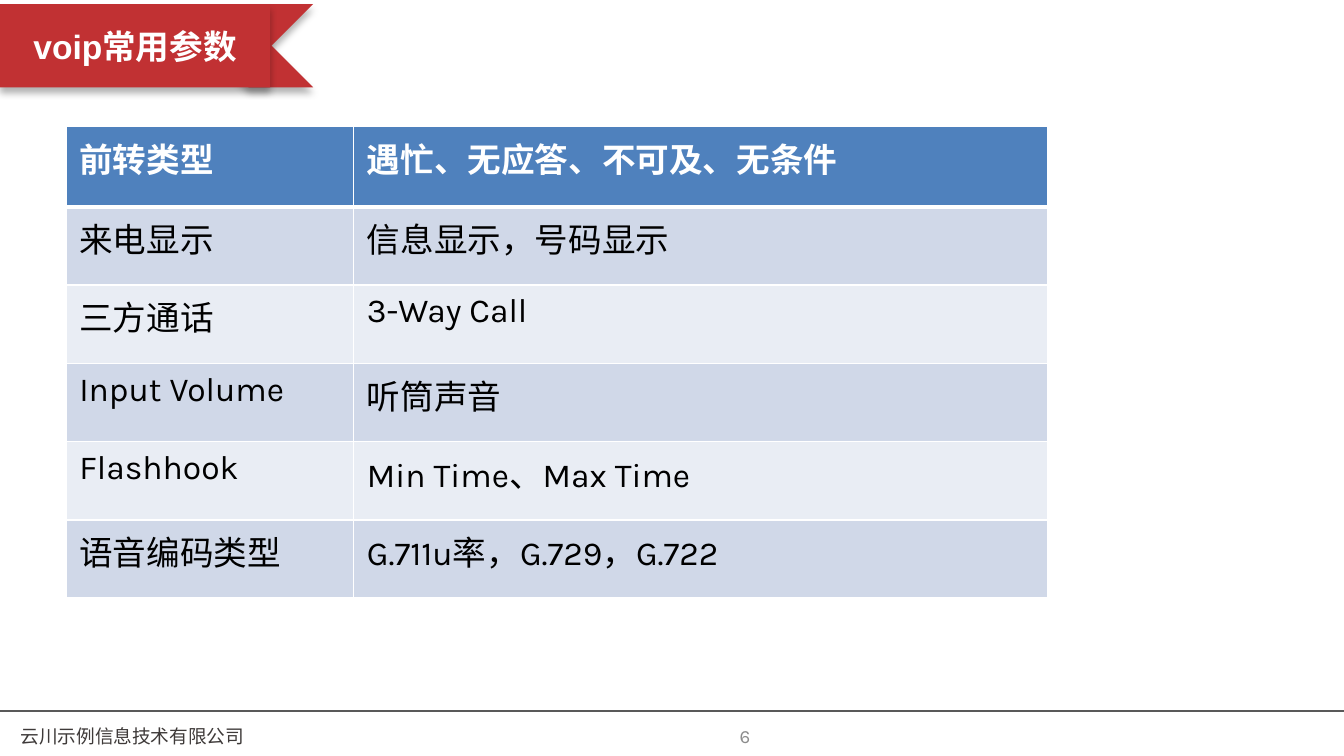
from dataclasses import dataclass

from lxml import etree
from pptx import Presentation
from pptx.dml.color import RGBColor
from pptx.enum.shapes import MSO_CONNECTOR, MSO_SHAPE
from pptx.enum.text import MSO_ANCHOR, MSO_AUTO_SIZE, PP_ALIGN
from pptx.oxml.ns import qn
from pptx.util import Inches, Pt

STRAIGHT = MSO_CONNECTOR.STRAIGHT
CHEVRON = MSO_SHAPE.CHEVRON
MIDDLE = MSO_ANCHOR.MIDDLE
NO_AUTOSIZE = MSO_AUTO_SIZE.NONE
CENTER, RIGHT = PP_ALIGN.CENTER, PP_ALIGN.RIGHT
WIDTH = 10
HEIGHT = WIDTH * 9 / 16
TITLE_ONLY = 5


@dataclass(frozen=True)
class Theme:
    red: str = "C13133"
    rule: str = "595959"
    header: str = "4F81BD"
    bands: tuple = ("D0D8E8", "E9EDF4")
    white: str = "FFFFFF"
    black: str = "000000"
    footer: str = "3E3A39"
    number: str = "8C8C8C"
    heading_font: str = "Arial"
    body_font: str = "Karla"
    large: int = 18
    small: int = 10


THEME = Theme()

ROWS = [
    ("前转类型", "遇忙、无应答、不可及、无条件"),
    ("来电显示", "信息显示，号码显示"),
    ("三方通话", "3-Way Call"),
    ("Input Volume", "听筒声音"),
    ("Flashhook", "Min Time、Max Time"),
    ("语音编码类型", "G.711u率，G.729，G.722"),
]


def place(shape, left, top, width, height):
    shape.left, shape.top = Inches(left), Inches(top)
    shape.width, shape.height = Inches(width), Inches(height)


def paint(target, color):
    target.fill.solid()
    target.fill.fore_color.rgb = RGBColor.from_string(color)


def write(text_frame, text, size, color, font, bold=False, align=None):
    text_frame.text = text
    paragraph = text_frame.paragraphs[0]
    paragraph.alignment = align
    for run in paragraph.runs:
        run.font.size = Pt(size)
        run.font.name = font
        run.font.bold = bold
        run.font.color.rgb = RGBColor.from_string(color)


def style_ribbon(shape):
    paint(shape, THEME.red)
    shape.line.fill.background()
    shape.shadow.inherit = False
    effects = shape._element.spPr.find(qn("a:effectLst"))
    shadow = etree.SubElement(
        effects, qn("a:outerShdw"), blurRad=str(Pt(4)), dist=str(Pt(3)),
        dir="5400000", algn="t", rotWithShape="0")
    color = etree.SubElement(shadow, qn("a:srgbClr"), val=THEME.black)
    etree.SubElement(color, qn("a:alpha"), val="30000")


def add_title_ribbon(slide, text):
    top, height = 0.03, 0.62
    tail = slide.shapes.add_shape(
        CHEVRON, Inches(1.54), Inches(top), Inches(0.79), Inches(height))
    tail._element.spPr.find(qn("a:xfrm")).set("flipH", "1")
    title = slide.shapes.title
    place(title, 0, top, 2.01, height)
    tail._element.addnext(title._element)
    for shape in (tail, title):
        style_ribbon(shape)
    frame = title.text_frame
    frame.auto_size = NO_AUTOSIZE
    frame.vertical_anchor = MIDDLE
    frame.margin_left = frame.margin_right = Inches(0.1)
    frame.margin_top = frame.margin_bottom = Inches(0.16)
    write(frame, text, THEME.large, THEME.white, THEME.heading_font, True, CENTER)


def set_borders(cell, top, bottom):
    properties = cell._tc.get_or_add_tcPr()
    widths = {"a:lnL": 1, "a:lnR": 1, "a:lnT": top, "a:lnB": bottom}
    for position, (tag, width) in enumerate(widths.items()):
        border = etree.Element(qn(tag), w=str(Pt(width)))
        fill = etree.SubElement(border, qn("a:solidFill"))
        etree.SubElement(fill, qn("a:srgbClr"), val=THEME.white)
        properties.insert(position, border)


def add_parameter_table(slide, rows):
    column_widths, header_height, height = (2.14, 5.17), 0.6, 3.51
    row_height = (height - header_height) / (len(rows) - 1)
    table = slide.shapes.add_table(
        len(rows), len(column_widths), Inches(0.49), Inches(0.94),
        Inches(sum(column_widths)), Inches(height)).table
    for column, width in zip(table.columns, column_widths):
        column.width = Inches(width)
    for index, texts in enumerate(rows):
        is_header = index == 0
        table.rows[index].height = Inches(header_height if is_header else row_height)
        fill = THEME.header if is_header else THEME.bands[(index - 1) % 2]
        color = THEME.white if is_header else THEME.black
        for cell, text in zip(table.rows[index].cells, texts):
            paint(cell, fill)
            set_borders(cell, 3 if index == 1 else 1, 3 if is_header else 1)
            write(cell.text_frame, text, THEME.large, color, THEME.body_font, is_header)


def add_footer_rule(slide):
    top = Inches(5.29)
    rule = slide.shapes.add_connector(STRAIGHT, 0, top, Inches(WIDTH), top)
    rule.line.color.rgb = RGBColor.from_string(THEME.rule)
    rule.line.width = Pt(0.75)
    etree.SubElement(rule._element.spPr, qn("a:effectLst"))


def add_footer_text(slide, text, left, width, color, align):
    box = slide.shapes.add_textbox(
        Inches(left), Inches(5.33), Inches(width), Inches(0.3))
    frame = box.text_frame
    frame.word_wrap = True
    frame.vertical_anchor = MIDDLE
    write(frame, text, THEME.small, color, THEME.body_font, align=align)


def main():
    presentation = Presentation()
    presentation.slide_width = Inches(WIDTH)
    presentation.slide_height = Inches(HEIGHT)
    slide = presentation.slides.add_slide(presentation.slide_layouts[TITLE_ONLY])
    add_footer_rule(slide)
    add_footer_text(slide, "云川示例信息技术有限公司", -0.83, 3.63, THEME.footer, CENTER)
    add_footer_text(slide, "6", 3.35, 2.33, THEME.number, RIGHT)
    add_parameter_table(slide, ROWS)
    add_title_ribbon(slide, "voip常用参数")
    presentation.save("out.pptx")


main()
